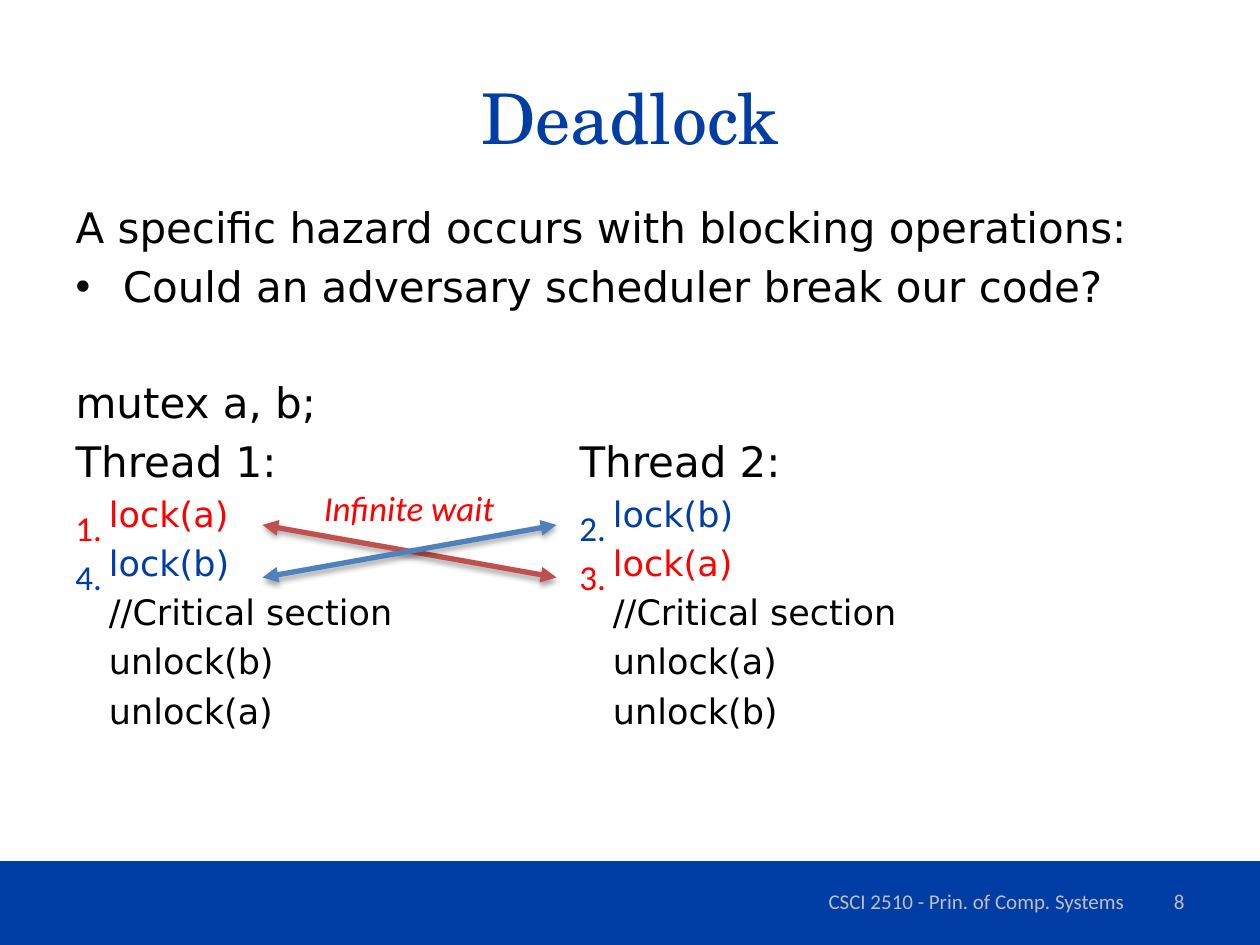
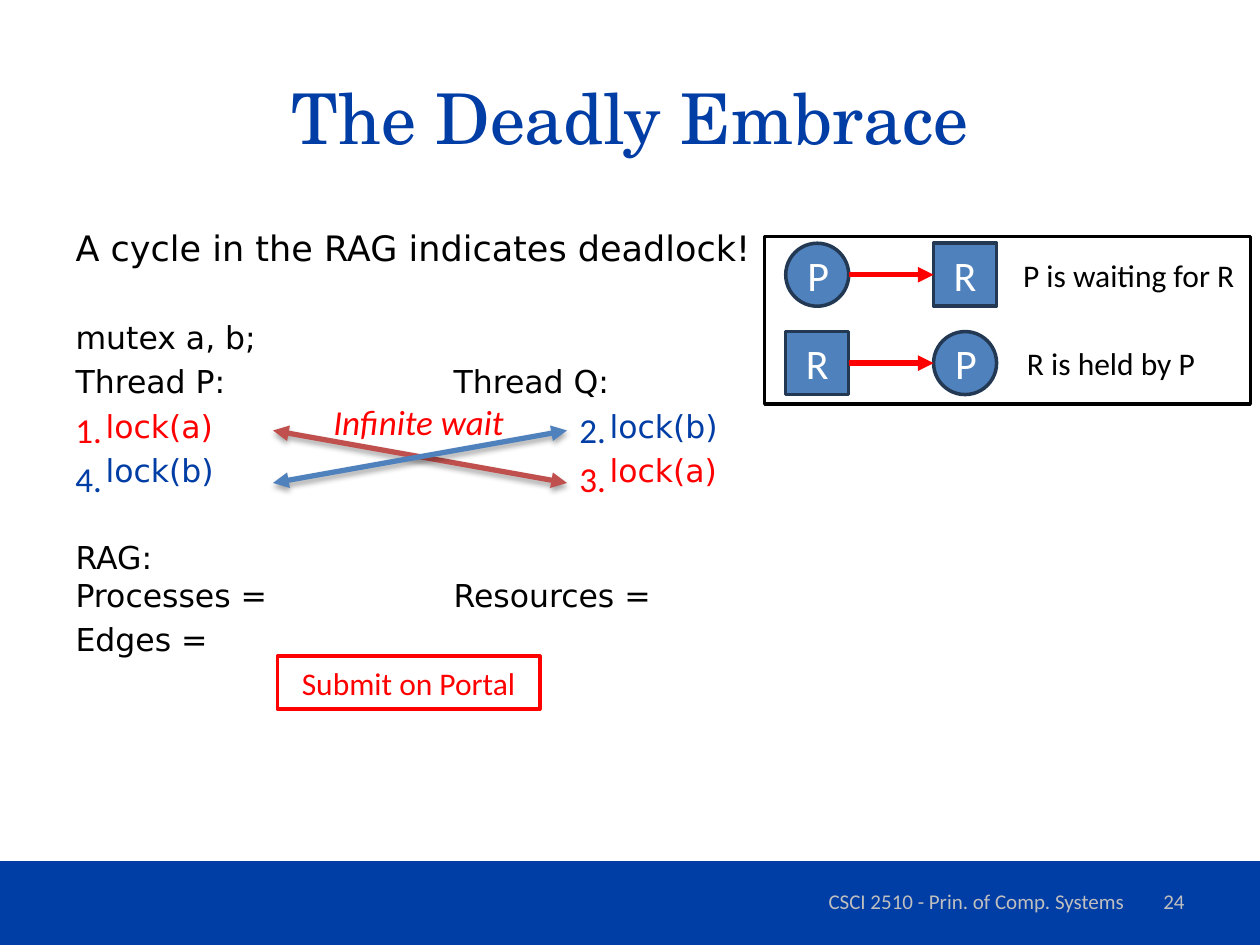
from dataclasses import dataclass

from lxml import etree
from pptx import Presentation
from pptx.dml.color import RGBColor
from pptx.enum.shapes import MSO_CONNECTOR, MSO_SHAPE
from pptx.enum.text import MSO_ANCHOR, MSO_AUTO_SIZE, PP_ALIGN
from pptx.oxml.ns import qn
from pptx.util import Pt

RECT, OVAL, STRAIGHT = MSO_SHAPE.RECTANGLE, MSO_SHAPE.OVAL, MSO_CONNECTOR.STRAIGHT
MIDDLE, TOP = MSO_ANCHOR.MIDDLE, MSO_ANCHOR.TOP
FIXED, GROW = MSO_AUTO_SIZE.NONE, MSO_AUTO_SIZE.SHAPE_TO_FIT_TEXT
LEFT, CENTER, RIGHT = PP_ALIGN.LEFT, PP_ALIGN.CENTER, PP_ALIGN.RIGHT


# Colours, fonts and type sizes
@dataclass(frozen=True)
class Theme:
    blue: str = "003DA5"
    red: str = "FF0000"
    black: str = "000000"
    white: str = "FFFFFF"
    grey: str = "BFBFBF"
    node: str = "4F81BD"
    node_edge: str = "233953"
    brick: str = "C0504D"
    title_font: str = "TeX Gyre Schola"
    body_font: str = "DejaVu Sans"
    label_font: str = "Calibri"
    title_size: int = 40
    body_size: int = 24
    code_size: int = 20
    small_size: int = 18
    footer_size: int = 12


THEME = Theme()
COURSE = "CSCI 2510 - Prin. of Comp. Systems"
PARAGRAPH_GAP = 0.2  # space before, as a share of the type size
BLANK_LINE = 1.37    # one line with its space, as a share of the type size
TAB_STEP = 72        # distance between tab stops
COLUMN_2 = 4 * TAB_STEP  # second thread's offset from the first
CODE_INDENT = "   "


def set_values(target, values):
    for name, value in values.items():
        setattr(target, name, value)


def add_xml(parent, tag, **attributes):
    return etree.SubElement(parent, qn(tag), attributes)


def line(text, size, **options):
    """One body line; text is a string or a list of (text, colour)."""
    pieces = [(text, THEME.black)] if isinstance(text, str) else text
    return dict(pieces=pieces, size=size, **options)


def code_line(first, second, size, colors=(THEME.black, THEME.black), tabs=3):
    """The same step of both threads, side by side."""
    return line([(CODE_INDENT + first + "\t" * tabs, colors[0]),
                 (CODE_INDENT + second, colors[1])], size)


class Deck:
    def __init__(self, theme):
        self.theme = theme
        self.prs = Presentation()
        set_values(self.prs, dict(slide_width=Pt(720), slide_height=Pt(540)))
        # Shared tab stops
        for root in (self.prs.slide_master.element, self.prs.element):
            for element in root.iter():
                if element.get("defTabSz"):
                    element.set("defTabSz", str(Pt(TAB_STEP)))

    def start_slide(self, title, number):
        """Title, bottom band and footer."""
        t = self.theme
        self.slide = self.prs.slides.add_slide(self.prs.slide_layouts[1])
        self.canvas = self.slide.shapes
        heading = self.slide.shapes.title
        self.place(heading, (36, 21.6, 648, 90))
        set_values(heading.text_frame, dict(vertical_anchor=MIDDLE, auto_size=FIXED))
        paragraph = heading.text_frame.paragraphs[0]
        paragraph.alignment = CENTER
        self.run(paragraph, title, t.blue, t.title_size, t.title_font)
        self.shape(RECT, (0, 492, 720, 48), t.blue)
        for text, box, align in ((COURSE, (444, 500.5, 228, 28.75), CENTER),
                                 (str(number), (516, 500.5, 168, 28.75), RIGHT)):
            self.label([(text, t.grey)], box, t.footer_size, align=align,
                       frame_values=dict(word_wrap=True, vertical_anchor=MIDDLE))

    def place(self, shape, box):
        set_values(shape, dict(zip(("left", "top", "width", "height"), map(Pt, box))))

    def run(self, paragraph, text, color, size, font, italic=False):
        run = paragraph.add_run()
        run.text = text
        set_values(run.font, dict(name=font, size=Pt(size), italic=italic, bold=False))
        run.font.color.rgb = RGBColor.from_string(color)

    def body(self, top, lines):
        """Fill the body placeholder; lines come from line()."""
        holder = self.slide.placeholders[1]
        self.place(holder, (36, top, 648, 356.4))
        frame = holder.text_frame
        set_values(frame, dict(auto_size=FIXED, vertical_anchor=TOP))
        for index, item in enumerate(lines):
            paragraph = frame.paragraphs[0] if index == 0 else frame.add_paragraph()
            size, bullet = item["size"], item.get("bullet")
            # Bullet, indent and tab step
            props = paragraph._p.get_or_add_pPr()
            indent = Pt(27) if bullet else 0
            for name, value in dict(marL=indent, indent=-indent,
                                    defTabSz=Pt(TAB_STEP)).items():
                props.set(name, str(value))
            if bullet:
                add_xml(props, "a:buChar", char="•")
            else:
                add_xml(props, "a:buNone")
            # Spacing and text
            share = PARAGRAPH_GAP + (BLANK_LINE if item.get("gap") else 0)
            before = Pt(round(share * size, 1)) if index else Pt(0)
            set_values(paragraph, dict(alignment=LEFT, space_before=before))
            for number, (text, color) in enumerate(item["pieces"]):
                if number and item.get("broken"):
                    paragraph.add_line_break()
                self.run(paragraph, text, color, size, self.theme.body_font)

    def label(self, texts, box, size, align=LEFT, italic=False, spacing=None,
              frame_values=None):
        """Free text, one (text, colour) for each paragraph."""
        holder = self.canvas.add_textbox(*map(Pt, box))
        frame = holder.text_frame
        set_values(frame, frame_values or dict(word_wrap=False, auto_size=GROW))
        for index, (text, color) in enumerate(texts):
            paragraph = frame.paragraphs[0] if index == 0 else frame.add_paragraph()
            paragraph.alignment = align
            if spacing:
                paragraph.line_spacing = Pt(spacing)
            self.run(paragraph, text, color, size, self.theme.label_font, italic)

    def shape(self, kind, box, fill=None, edge=None, text="", color=None, size=None):
        shape = self.canvas.add_shape(kind, *map(Pt, box))
        shape.shadow.inherit = False
        if fill:
            shape.fill.solid()
            shape.fill.fore_color.rgb = RGBColor.from_string(fill)
        else:
            shape.fill.background()
        if edge:
            shape.line.color.rgb = RGBColor.from_string(edge)
            shape.line.width = Pt(2)
        else:
            shape.line.fill.background()
        if text:
            shape.text_frame.vertical_anchor = MIDDLE
            paragraph = shape.text_frame.paragraphs[0]
            paragraph.alignment = CENTER
            self.run(paragraph, text, color, size, self.theme.label_font)

    def arrow(self, start, end, color, ends=("a:tailEnd",), shadow=False):
        arrow = self.canvas.add_connector(STRAIGHT, *map(Pt, (*start, *end)))
        arrow.line.color.rgb = RGBColor.from_string(color)
        arrow.line.width = Pt(3)
        outline = arrow.line._get_or_add_ln()
        for tag in ends:
            add_xml(outline, tag, type="triangle")
        effects = add_xml(arrow._element.spPr, "a:effectLst")
        if shadow:
            cast = add_xml(effects, "a:outerShdw", blurRad=str(Pt(3.1)),
                           dist=str(Pt(1.8)), dir="5400000", rotWithShape="0")
            black = add_xml(cast, "a:srgbClr", val=self.theme.black)
            add_xml(black, "a:alpha", val="35000")

    def infinite_wait(self, arrows_at, caption_at, steps_top):
        """Crossed arrows, their caption and the order of the lock calls."""
        t = self.theme
        left, top = arrows_at
        right, bottom = left + 168, top + 30
        for start_y, end_y, color in ((top, bottom, t.brick), (bottom, top, t.node)):
            self.arrow((left, start_y), (right, end_y), color,
                       ends=("a:headEnd", "a:tailEnd"), shadow=True)
        self.label([("Infinite wait", t.red)], (*caption_at, 113, 31.5),
                   t.code_size, italic=True)
        for x, steps in ((36, (("1.", t.red), ("4.", t.blue))),
                         (36 + COLUMN_2, (("2.", t.blue), ("3.", t.red)))):
            self.label(steps, (x, steps_top, 29.5, 62), t.code_size, spacing=28)


def deadlock_slide(deck):
    t = deck.theme
    deck.start_slide("Deadlock", 8)
    size = t.code_size
    deck.body(111.6, [
        line("A specific hazard occurs with blocking operations:", t.body_size),
        line("Could an adversary scheduler break our code?", t.body_size, bullet=True),
        line("mutex a, b;", t.body_size, gap=True),
        line("Thread 1:\t\t\tThread 2:", t.body_size),
        code_line("lock(a)", "lock(b)", size, (t.red, t.blue)),
        code_line("lock(b)", "lock(a)", size, (t.blue, t.red)),
        code_line("//Critical section", "//Critical section", size, tabs=2),
        code_line("unlock(b)", "unlock(a)", size),
        code_line("unlock(a)", "unlock(b)", size),
    ])
    deck.infinite_wait((150, 300), (178, 274.5), 282)


def embrace_slide(deck):
    t = deck.theme
    deck.start_slide("The Deadly Embrace", 24)
    size = t.small_size
    deck.body(126, [
        line("A cycle in the RAG indicates deadlock!", t.code_size),
        line("mutex a, b;", size, gap=True),
        line("Thread P:\t\tThread Q:", size),
        code_line("lock(a)", "lock(b)", size, (t.red, t.blue)),
        code_line("lock(b)", "lock(a)", size, (t.blue, t.red)),
        line([("RAG:", t.black), ("Processes =\t\tResources =", t.black)], size,
             gap=True, broken=True),
        line("Edges =", size),
    ])
    deck.infinite_wait((156, 246), (183.5, 225.5), 226)
    deck.shape(RECT, (158.5, 375, 150, 30.25), edge=t.red,
               text="Submit on Portal", color=t.red, size=size)

    # Legend of the resource allocation graph
    deck.canvas = deck.slide.shapes.add_group_shape().shapes
    deck.shape(RECT, (437, 135, 277.5, 96), t.white, t.black)
    node, from_x, to_x = 36, 449, 533.5
    process, resource = ("P", OVAL), ("R", RECT)
    rows = ((139, process, resource, "P is waiting for R", 577.5, 137),
            (189.5, resource, process, "R is held by P", 579.75, 111.5))
    for top, source, target, meaning, text_x, text_width in rows:
        for x, (letter, kind) in ((from_x, source), (to_x, target)):
            deck.shape(kind, (x, top, node, node), t.node, t.node_edge,
                       letter, t.white, t.body_size)
        middle = top + node / 2
        deck.arrow((from_x + node, middle), (to_x, middle), t.red)
        deck.label([(meaning, t.black)], (text_x, top + 3.5, text_width, 29), size)


def main():
    deck = Deck(THEME)
    deadlock_slide(deck)
    embrace_slide(deck)
    deck.prs.save("out.pptx")


if __name__ == "__main__":
    main()
